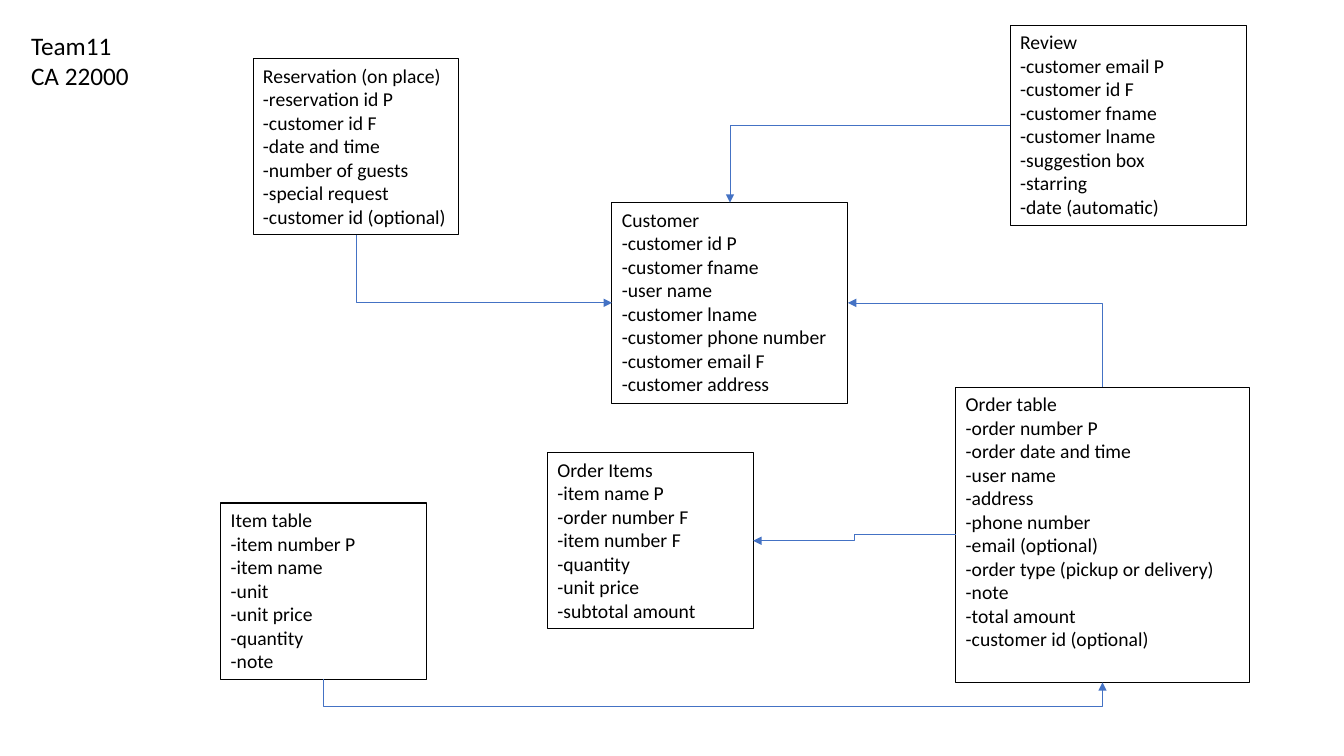
"""Build the entity diagram of a restaurant ordering database."""
from lxml.etree import SubElement
from pptx import Presentation
from pptx.dml.color import RGBColor
from pptx.enum.shapes import MSO_CONNECTOR, MSO_SHAPE
from pptx.enum.text import MSO_ANCHOR, PP_ALIGN
from pptx.oxml.ns import qn
from pptx.util import Inches, Pt

THEME = {"font": "Calibri", "text": RGBColor(0, 0, 0), "link": RGBColor(0x44, 0x72, 0xC4),
         "title": Pt(18), "body": Pt(14), "border": Pt(0.75), "arrow": Pt(0.5)}
TITLE = ["Team11", "CA 22000"]
ENTITIES = {
    "Customer": ((6.07, 2.01, 2.34, 1.99), [
        "customer id P", "customer fname", "user name", "customer lname",
        "customer phone number", "customer email F", "customer address"]),
    "Reservation (on place)": ((2.51, 0.58, 2.04, 1.75), [
        "reservation id P", "customer id F", "date and time", "number of guests",
        "special request", "customer id (optional)"]),
    "Review": ((10.02, 0.25, 2.34, 1.99), [
        "customer email P", "customer id F", "customer fname", "customer lname",
        "suggestion box", "starring", "date (automatic)"]),
    "Order Items": ((5.43, 4.49, 2.04, 1.75), [
        "item name P", "order number F", "item number F", "quantity",
        "unit price", "subtotal amount"]),
    "Order table": ((9.48, 3.84, 2.91, 2.93), [
        "order number P", "order date and time", "user name", "address", "phone number",
        "email (optional)", "order type (pickup or delivery)", "note", "total amount",
        "customer id (optional)"]),
    "Item table": ((2.19, 4.99, 2.04, 1.75), [
        "item number P", "item name", "unit", "unit price", "quantity", "note"]),
}
TOP, LEFT, BOTTOM, RIGHT = range(4)
LINKS = [
    ("Review", LEFT, "Customer", TOP),
    ("Order table", LEFT, "Order Items", RIGHT),
    ("Item table", BOTTOM, "Order table", BOTTOM),
    ("Order table", TOP, "Customer", RIGHT),
    ("Reservation (on place)", BOTTOM, "Customer", LEFT),
]
DROP = Inches(0.27)


def write(tf, lines, size):
    """Fill a text frame with one paragraph per line."""
    tf.vertical_anchor = MSO_ANCHOR.TOP
    for i, line in enumerate(lines):
        p = tf.paragraphs[0] if i == 0 else tf.add_paragraph()
        p.text, p.alignment = line, PP_ALIGN.LEFT
        p.font.name, p.font.size = THEME["font"], size
        p.font.color.rgb = THEME["text"]


def add_entity(s, name, box, fields):
    """Draw one entity as an outlined box of fields."""
    sp = s.shapes.add_shape(MSO_SHAPE.RECTANGLE, *map(Inches, box))
    sp.shadow.inherit = False
    sp.fill.background()
    sp.line.color.rgb, sp.line.width = THEME["text"], THEME["border"]
    sp.text_frame.word_wrap = True
    write(sp.text_frame, [name] + ["-" + field for field in fields], THEME["body"])
    return sp


def add_link(s, source, start, target, end):
    """Glue an elbow arrow to two box sides and route it."""
    sp = s.shapes.add_connector(MSO_CONNECTOR.ELBOW, 0, 0, 0, 0)
    sp.begin_connect(source, start)
    sp.end_connect(target, end)
    dx, dy = sp.end_x - sp.begin_x, sp.end_y - sp.begin_y
    cx, cy = (sp.begin_x + sp.end_x) // 2, (sp.begin_y + sp.end_y) // 2
    upright = start in (TOP, BOTTOM)
    w, h = (abs(dy), abs(dx)) if upright else (abs(dx), abs(dy))
    sp.left, sp.top, sp.width, sp.height = cx - w // 2, cy - h // 2, w, h
    spPr = sp._element.spPr
    xfrm = spPr.find(qn("a:xfrm"))
    xfrm.set("rot", str((270 if upright else 180) * 60000))
    xfrm.set("flipH", str(int((dy if upright else dx) > 0)))
    xfrm.set("flipV", str(int(dx < 0 if upright else dy > 0)))
    geom = spPr.find(qn("a:prstGeom"))
    if start % 2 != end % 2:
        geom.set("prst", "bentConnector2")
    elif start == end:
        bend = round((max(dy, 0) + DROP - max(dy, 0)) / w * 100000)
        SubElement(geom.find(qn("a:avLst")), qn("a:gd"), name="adj1", fmla=f"val {bend}")
    sp.line.color.rgb, sp.line.width = THEME["link"], THEME["arrow"]
    SubElement(sp.line._get_or_add_ln(), qn("a:tailEnd"), type="triangle")
    SubElement(spPr, qn("a:effectLst"))


prs = Presentation()
prs.slide_width, prs.slide_height = Inches(13.33), Inches(7.5)
s = prs.slides.add_slide(prs.slide_layouts[6])
boxes = {name: add_entity(s, name, *entity) for name, entity in ENTITIES.items()}
for source, start, target, end in LINKS:
    add_link(s, boxes[source], start, boxes[target], end)
title = s.shapes.add_textbox(*map(Inches, (0.21, 0.25, 1.18, 0.71)))
title.text_frame.word_wrap = False
write(title.text_frame, TITLE, THEME["title"])
prs.save("out.pptx")
